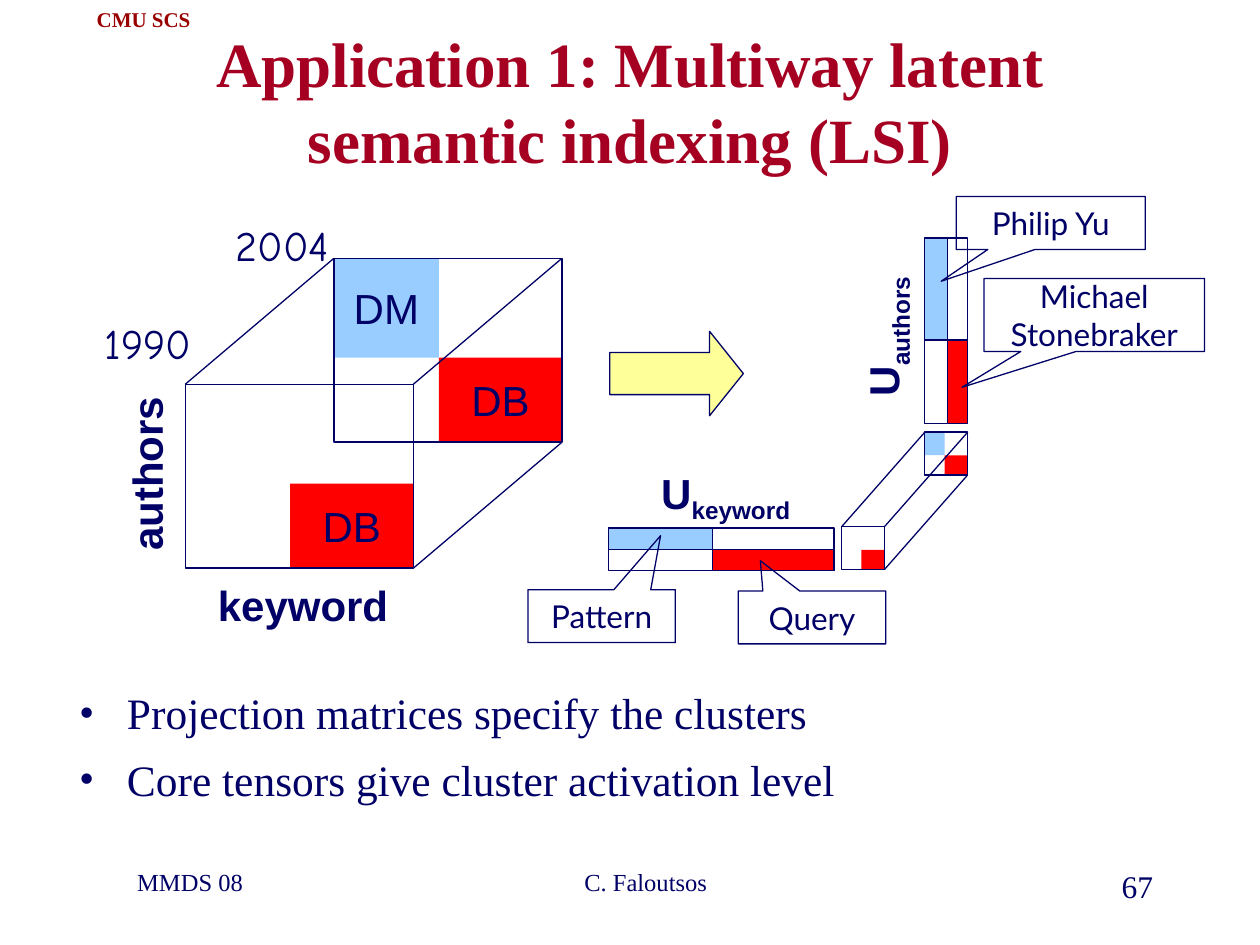
"""Build the multiway latent semantic indexing slide on a grid of 100 columns by 75 rows."""
from lxml.etree import SubElement
from pptx import Presentation
from pptx.dml.color import RGBColor
from pptx.enum.shapes import MSO_CONNECTOR as Line, MSO_SHAPE as Shape
from pptx.enum.text import MSO_ANCHOR as Anchor, PP_ALIGN as Align
from pptx.oxml.ns import qn
from pptx.util import Inches, Pt

COLUMNS, ROWS, CELL = 100, 75, Inches(0.1)
NAVY = RGBColor(0x00, 0x00, 0x66)
CRIMSON = RGBColor(0xA5, 0x00, 0x21)
MAROON = RGBColor(0x99, 0x00, 0x00)
RED = RGBColor(0xFF, 0x00, 0x00)
SKY = RGBColor(0x99, 0xCC, 0xFF)
YELLOW = RGBColor(0xFF, 0xFF, 0x99)
SERIF, SANS, CASUAL, ROUND = "Times New Roman", "Arial", "Comic Neue", "Lato"

BLOCK = dict(name=SANS, size=Pt(24), color=NAVY)
AXIS = dict(BLOCK, bold=True)
YEAR = dict(BLOCK, name=CASUAL)
NOTE = dict(name=ROUND, size=Pt(18), color=NAVY)
BODY = dict(name=SERIF, size=Pt(24.8), color=NAVY)
FOOTER = dict(BODY, size=Pt(14))
NUMBER = dict(BODY, size=Pt(18))
HEADING = dict(name=SERIF, size=Pt(36), color=CRIMSON, bold=True)
TAG = dict(name=SERIF, size=Pt(12), color=MAROON, bold=True)

TENSOR_SPLIT = (0.46, 0.54)
TENSORS = [
    dict(front=(14.7, 30.5), face=(18.1, 14.6), depth=(11.8, -10), labels=("DM", "DB")),
    dict(front=(66.8, 41.8), face=(3.4, 3.4), depth=(6.6, -7.5), labels=("", "")),
]
FACTORS = [
    ((48.3, 41.9, 17.9, 3.4), (0.46, 0.5)),
    ((73.4, 18.9, 3.4, 14.7), (0.53, 0.55)),
]
ARROW = (48.4, 26.3, 10.6, 6.7)
CALLOUTS = [
    ("Philip Yu", (75.9, 15.6, 15, 4.2), (-0.58, 1.1)),
    ("Michael Stonebraker", (78.1, 22.1, 17.5, 5.8), (-0.6, 0.99)),
    ("Pattern", (41.9, 46.8, 11.7, 4.2), (0.4, -1.52)),
    ("Query", (58.6, 46.9, 11.7, 4.2), (-0.35, -1.07)),
]
LABELS = [
    (("2004",), (17.7, 16.9, 9.4, 5), YEAR, 0),
    (("1990",), (7.3, 24.7, 8.9, 5), YEAR, 0),
    (("authors",), (4.5, 35.1, 14.2, 5), AXIS, 270),
    (("keyword",), (16.3, 45.5, 15.5, 5), AXIS, 0),
    (("U", "keyword"), (50.5, 36.6, 14.2, 5.6), AXIS, 0),
    (("U", "authors"), (63.6, 23.9, 13.5, 5.6), AXIS, 270),
]
TAG_TEXT = ("CMU SCS", (5.4, 0, 12, 3))
TITLE = ("Application 1: Multiway latent semantic indexing (LSI)", (7.5, 1.7, 85, 12.5))
BULLETS = ["Projection matrices specify the clusters",
           "Core tensors give cluster activation level"]
BULLET_BOX = (5.3, 54, 90, 10.7)
FOOTERS = [
    ("MMDS 08", (7.5, 68.3, 20.8, 5), FOOTER, Align.LEFT),
    ("C. Faloutsos", (34.2, 68.3, 31.7, 5), FOOTER, Align.CENTER),
    ("67", (71.7, 68.3, 20.8, 5), NUMBER, Align.RIGHT),
]


def to_emu(cells):
    return [round(value * CELL) for value in cells]


def set_font(font, style):
    for key, value in style.items():
        if key == "color":
            font.color.rgb = value
        else:
            setattr(font, key, value)


def indent(paragraph, left, first=0):
    properties = paragraph._p.get_or_add_pPr()
    properties.set("marL", str(Inches(left)))
    properties.set("indent", str(Inches(first)))
    return properties


def write(frame, runs, style, align=Align.CENTER, anchor=Anchor.MIDDLE, wrap=True):
    frame.word_wrap = wrap
    frame.vertical_anchor = anchor
    paragraph = frame.paragraphs[0]
    paragraph.alignment = align
    for order, words in enumerate(runs):
        run = paragraph.add_run()
        run.text = words
        set_font(run.font, style)
        if order:
            run.font._element.set("baseline", "-25000")
    return paragraph


def add_text(slide, runs, box, style, **layout):
    text_box = slide.shapes.add_textbox(*to_emu(box))
    return text_box, write(text_box.text_frame, runs, style, **layout)


def add_figure(slide, kind, box, fill=None, outlined=True):
    figure = slide.shapes.add_shape(kind, *to_emu(box))
    figure.shadow.inherit = False
    if fill is None:
        figure.fill.background()
    else:
        figure.fill.solid()
        figure.fill.fore_color.rgb = fill
    if outlined:
        figure.line.color.rgb = NAVY
        figure.line.width = Pt(0.75)
    else:
        figure.line.fill.background()
    return figure


def add_edge(slide, start, end):
    edge = slide.shapes.add_connector(Line.STRAIGHT, *to_emu((*start, *end)))
    edge.line.color.rgb = NAVY
    edge.line.width = Pt(0.75)
    SubElement(edge._element.spPr, qn("a:effectLst"))


def add_matrix(slide, box, split, labels=("", ""), shown=(True, True), outlined=False):
    left, top, width, height = box
    across, down = width * split[0], height * split[1]
    blocks = [(left, top, across, down),
              (left + across, top + down, width - across, height - down)]
    for block, fill, label, visible in zip(blocks, (SKY, RED), labels, shown):
        if visible:
            figure = add_figure(slide, Shape.RECTANGLE, block, fill, outlined)
            if label:
                write(figure.text_frame, (label,), BLOCK, wrap=False)
    add_figure(slide, Shape.RECTANGLE, box)


def add_tensor(slide, front, face, depth, labels):
    back = [near + shift for near, shift in zip(front, depth)]
    add_matrix(slide, (*back, *face), TENSOR_SPLIT, labels)
    add_matrix(slide, (*front, *face), TENSOR_SPLIT, labels, shown=(False, True))
    for across, down in ((0, 0), (1, 0), (1, 1)):
        corner = (front[0] + across * face[0], front[1] + down * face[1])
        add_edge(slide, corner, (corner[0] + depth[0], corner[1] + depth[1]))


def add_bullets(slide):
    frame = slide.shapes.add_textbox(*to_emu(BULLET_BOX)).text_frame
    frame.word_wrap = True
    for order, words in enumerate(BULLETS):
        paragraph = frame.add_paragraph() if order else frame.paragraphs[0]
        properties = indent(paragraph, 0.38, -0.38)
        SubElement(properties, qn("a:buFont"), typeface=SERIF)
        SubElement(properties, qn("a:buChar"), char="•")
        paragraph.space_before = Pt(8 if order else 0)
        paragraph.text = words
        set_font(paragraph.runs[0].font, BODY)


def main():
    deck = Presentation()
    deck.slide_width, deck.slide_height = COLUMNS * CELL, ROWS * CELL
    slide = deck.slides.add_slide(deck.slide_layouts[6])

    add_text(slide, TAG_TEXT[:1], TAG_TEXT[1], TAG, wrap=False)
    add_text(slide, TITLE[:1], TITLE[1], HEADING)
    for tensor in TENSORS:
        add_tensor(slide, **tensor)
    arrow = add_figure(slide, Shape.RIGHT_ARROW, ARROW, YELLOW)
    arrow.adjustments[1] = 0.4
    for box, split in FACTORS:
        add_matrix(slide, box, split, outlined=True)
    for words, box, tip in CALLOUTS:
        callout = add_figure(slide, Shape.RECTANGULAR_CALLOUT, box)
        callout.adjustments[0], callout.adjustments[1] = tip
        write(callout.text_frame, (words,), NOTE)
    for runs, box, style, turn in LABELS:
        label, _ = add_text(slide, runs, box, style, anchor=Anchor.TOP, wrap=False)
        label.rotation = turn
    add_bullets(slide)
    for words, box, style, align in FOOTERS:
        _, paragraph = add_text(slide, (words,), box, style, align=align, anchor=Anchor.TOP)
        indent(paragraph, 0.24)
    deck.save("out.pptx")


if __name__ == "__main__":
    main()
